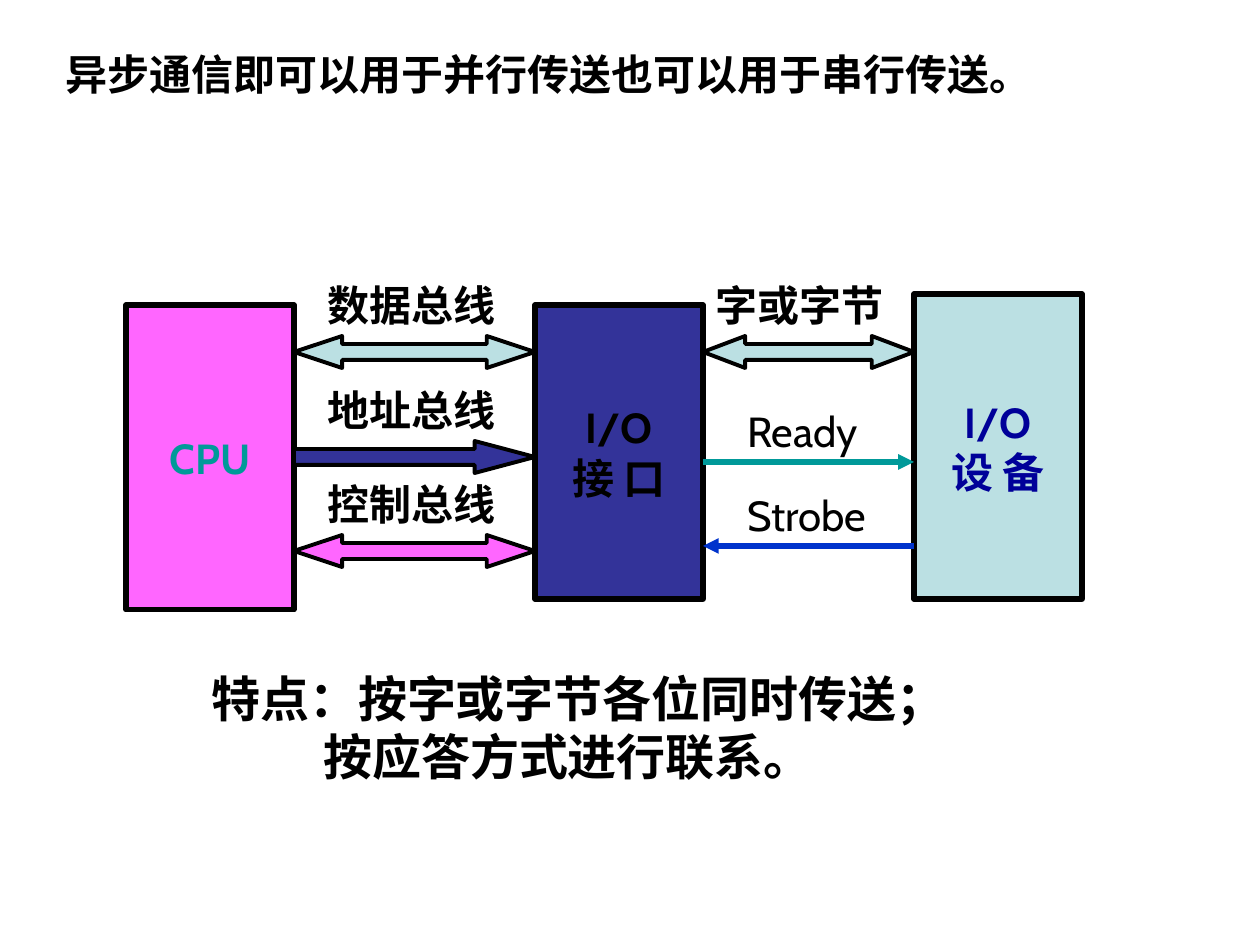
from dataclasses import dataclass

from lxml.etree import SubElement
from pptx import Presentation
from pptx.dml.color import RGBColor
from pptx.enum.shapes import MSO_CONNECTOR, MSO_SHAPE
from pptx.enum.text import MSO_ANCHOR, PP_ALIGN
from pptx.oxml.ns import qn
from pptx.util import Pt

PX = 914400 / 126


@dataclass(frozen=True)
class Theme:
    """Colours, fonts and type sizes of the slide."""
    black: str = "000000"
    pink: str = "FF66FF"
    indigo: str = "333399"
    pale: str = "BBE0E3"
    teal: str = "009999"
    navy: str = "000099"
    blue: str = "0033CC"
    title_font: str = "Arial"
    font: str = "Cabin"
    body: int = 24
    large: int = 28
    border: float = 3
    outline: float = 2.25


T = Theme()


def emu(*lengths):
    """Turn px lengths into EMU."""
    return [round(n * PX) for n in lengths]


def rgb(color):
    """Turn a hex string into a colour."""
    return RGBColor.from_string(color)


def write(sp, text, size=T.body, font=T.font, color=T.black, bold=True,
          align=PP_ALIGN.LEFT, anchor=MSO_ANCHOR.TOP, wrap=False, indents=()):
    """Fill a shape with one paragraph per line of text."""
    tf = sp.text_frame
    tf.word_wrap = wrap
    tf.vertical_anchor = anchor
    for i, line in enumerate(text.split("\n")):
        p = tf.add_paragraph() if i else tf.paragraphs[0]
        p.alignment = align
        if i < len(indents):
            p._p.get_or_add_pPr().set("marL", str(emu(indents[i])[0]))
        r = p.add_run()
        r.text = line
        r.font.size = Pt(size)
        r.font.name = font
        r.font.bold = bold
        r.font.color.rgb = rgb(color)


def add_text(shapes, box, text, **fmt):
    """Add a text box."""
    write(shapes.add_textbox(*emu(*box)), text, **fmt)


def add_filled(shapes, kind, box, fill, width):
    """Add a filled preset shape with a black outline."""
    sp = shapes.add_shape(kind, *emu(*box))
    sp.shadow.inherit = False
    sp.fill.solid()
    sp.fill.fore_color.rgb = rgb(fill)
    sp.line.color.rgb = rgb(T.black)
    sp.line.width = Pt(width)
    return sp


def add_unit(shapes, box, text, fill, color):
    """Add a hardware unit with its centred name."""
    sp = add_filled(shapes, MSO_SHAPE.RECTANGLE, box, fill, T.border)
    write(sp, text, color=color, align=PP_ALIGN.CENTER, anchor=MSO_ANCHOR.MIDDLE)


def add_bus(shapes, kind, box, fill):
    """Add a block arrow whose head length follows its width."""
    sp = add_filled(shapes, kind, box, fill, T.outline)
    share = 4 if kind == MSO_SHAPE.RIGHT_ARROW else 5
    sp.adjustments[0] = 0.5
    sp.adjustments[1] = box[2] / share / box[3]


def add_signal(shapes, x1, x2, y, color):
    """Add a horizontal signal line with an arrowhead at its end."""
    s = shapes.add_connector(MSO_CONNECTOR.STRAIGHT, *emu(x1, y, x2, y))
    s.line.color.rgb = rgb(color)
    s.line.width = Pt(T.border)
    SubElement(s.line._get_or_add_ln(), qn("a:tailEnd"), type="triangle")
    SubElement(s._element.spPr, qn("a:effectLst"))


def draw_title(slide, box):
    """Place the opening statement."""
    add_text(slide.shapes, box, "异步通信即可以用于并行传送也可以用于串行传送。",
             font=T.title_font, wrap=True)


def draw_diagram(slide, box):
    """Place the units, buses, signals and their labels."""
    x, y, w, h = box
    shapes = slide.shapes.add_group_shape().shapes
    unit, port, rise = 168, x + 409, 63
    cpu_edge, port_edge, device = x + unit, port + unit, x + w - unit
    both, right = MSO_SHAPE.LEFT_RIGHT_ARROW, MSO_SHAPE.RIGHT_ARROW

    for left, top, height, text, fill, color in (
            (x, 32, 305, "CPU", T.pink, T.teal),
            (port, 32, 294, "I/O\n接 口", T.indigo, T.black),
            (device, 21, 305, "I/O\n设 备", T.pale, T.navy)):
        add_unit(shapes, (left, y + top, unit, height), text, fill, color)

    for start, end, gap, top, kind, fill, text in (
            (cpu_edge, port, 21, 63, both, T.pale, "数据总线"),
            (cpu_edge, port, 21, 168, right, T.indigo, "地址总线"),
            (cpu_edge, port, 21, 262, both, T.pink, "控制总线"),
            (port_edge, device, 0, 63, both, T.pale, "字或字节")):
        add_bus(shapes, kind, (start, y + top, end - start, 32), fill)
        add_text(shapes, (start + gap, y + top - rise, 193, 63), text)

    for start, end, top, color, text, width in (
            (port_edge, device, 189, T.teal, "Ready", 140),
            (device, port_edge, 273, T.blue, "Strobe", 146)):
        add_signal(shapes, start, end, y + top, color)
        add_text(shapes, (port_edge + 32, y + top - rise, width, 63), text, bold=False)


def draw_features(slide, box):
    """Place the closing remarks, the second line indented."""
    add_text(slide.shapes, box, "特点：按字或字节各位同时传送；\n按应答方式进行联系。",
             size=T.large, wrap=True, indents=(0, 112))


def main():
    """Build and save the slide."""
    prs = Presentation()
    prs.slide_width, prs.slide_height = emu(1260, 945)
    slide = prs.slides.add_slide(prs.slide_layouts[6])
    draw_title(slide, (53, 42, 1113, 63))
    draw_diagram(slide, (126, 273, 956, 337))
    draw_features(slide, (199, 662, 770, 130))
    prs.save("out.pptx")


if __name__ == "__main__":
    main()
